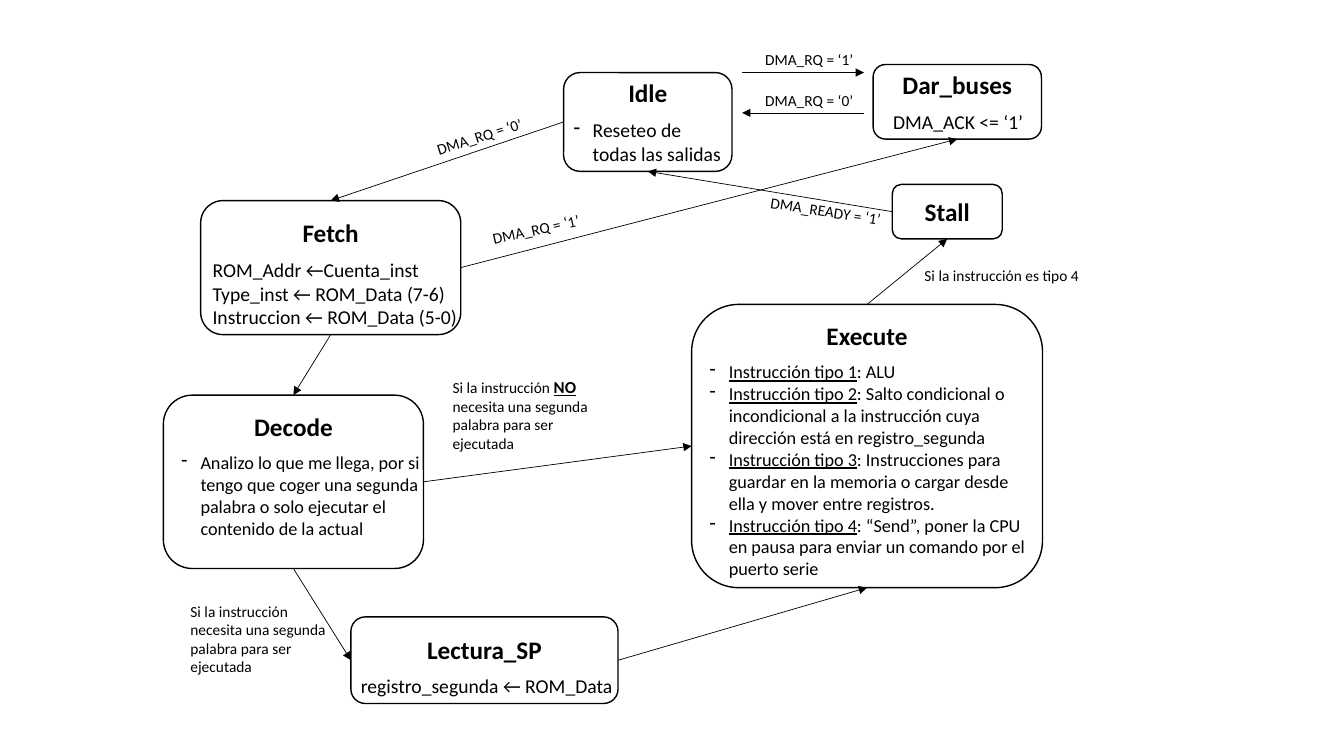
"""State diagram of a small CPU controller."""
from dataclasses import dataclass
from typing import NamedTuple

from lxml import etree
from pptx import Presentation
from pptx.dml.color import RGBColor
from pptx.enum.shapes import MSO_CONNECTOR, MSO_SHAPE
from pptx.enum.text import MSO_AUTO_SIZE, PP_ALIGN
from pptx.oxml.ns import qn
from pptx.util import Inches, Pt

ROUNDED = MSO_SHAPE.ROUNDED_RECTANGLE
STRAIGHT = MSO_CONNECTOR.STRAIGHT
GROW = MSO_AUTO_SIZE.SHAPE_TO_FIT_TEXT
LEFT_ALIGN, CENTER = PP_ALIGN.LEFT, PP_ALIGN.CENTER
TOP, LEFT, BOTTOM, RIGHT = range(4)  # connection sites of a rounded rectangle

SLIDE_W, SLIDE_H = Inches(13.33), Inches(7.5)
COLS, ROWS = 133.3, 75
TITLE_ROWS = 4
LABEL_ROWS = 2.9


@dataclass(frozen=True)
class Theme:
    """Colours, font, type sizes and line widths in points."""
    ink: RGBColor = RGBColor(0, 0, 0)
    font: str = "Calibri"
    title: int = 18
    body: int = 14
    dense: int = 13
    label: int = 11
    strong: int = 12
    frame: float = 1
    arrow: float = 0.5
    hanging: float = 0.19


THEME = Theme()


class Box(NamedTuple):
    """Place and size in grid columns and rows."""
    col: float
    row: float
    cols: float
    rows: float


class Run(NamedTuple):
    """Words with font values that differ from the rest of the box."""
    text: str
    style: dict = {}


class State(NamedTuple):
    """One state: frame, title place and body text."""
    name: str
    box: Box
    title_drop: float
    title_cols: float
    body: list = []
    body_col: float = 0
    body_cols: float = 0
    size: int = THEME.body
    bullet: bool = False


class Transition(NamedTuple):
    """Arrow glued from one state's side to another's."""
    source: str
    source_side: int
    target: str
    target_side: int


class Label(NamedTuple):
    """Condition written beside an arrow."""
    box: Box
    runs: list
    turn: float = 0
    wrap: bool = False


def kind(number: int, text: str) -> list:
    """Runs for one instruction type, its name underlined."""
    return [Run(f"Instrucción tipo {number}", {"underline": True}), Run(f": {text}")]


STATES = [
    State("Idle", Box(55.9, 7.2, 16.7, 9.8), 0, 5.9,
          [[Run("Reseteo de todas las salidas")]], 55.9, 16.7, bullet=True),
    State("Fetch", Box(19.9, 19.9, 25.8, 13.3), 1.2, 7.6,
          [[Run("ROM_Addr ←Cuenta_inst")],
           [Run("Type_inst ← ROM_Data (7-6)")],
           [Run("Instruccion ← ROM_Data (5-0)")]], 20.1, 26.8),
    State("Decode", Box(16.2, 39.2, 25.8, 17.2), 1.1, 9.8,
          [[Run("Analizo lo que me llega, por si tengo que coger una segunda "
                "palabra o solo ejecutar el contenido de la actual")]],
          17, 25.8, THEME.dense, True),
    State("Lectura_SP", Box(34.8, 61.2, 26.5, 8.6), 1.2, 13.5,
          [[Run("registro_segunda ← ROM_Data")]], 34.8, 27.8),
    State("Execute", Box(68.6, 30.2, 34.8, 28.1), 1.1, 10.1,
          [kind(1, "ALU"),
           kind(2, "Salto condicional o incondicional a la instrucción cuya "
                   "dirección está en registro_segunda"),
           kind(3, "Instrucciones para guardar en la memoria o cargar desde "
                   "ella y mover entre registros."),
           kind(4, "“Send”, poner la CPU en pausa para enviar un comando por "
                   "el puerto serie")],
          69.4, 34, THEME.dense, True),
    State("Dar_buses", Box(86.6, 6.4, 16.7, 7.4), 0, 13,
          [[Run("DMA_ACK <= ‘1’")]], 87.6, 15.4),
    State("Stall", Box(88.5, 18.3, 10.9, 5.4), 0.7, 6.5),
]

TRANSITIONS = [
    Transition("Idle", LEFT, "Fetch", TOP),
    Transition("Fetch", RIGHT, "Dar_buses", BOTTOM),
    Transition("Fetch", BOTTOM, "Decode", TOP),
    Transition("Decode", BOTTOM, "Lectura_SP", LEFT),
    Transition("Lectura_SP", RIGHT, "Execute", BOTTOM),
    Transition("Decode", RIGHT, "Execute", LEFT),
    Transition("Execute", TOP, "Stall", BOTTOM),
    Transition("Stall", LEFT, "Idle", BOTTOM),
]

# Bus handshake: start column, end column, row, condition
HANDSHAKE = [(73.6, 85.7, 7.2, "DMA_RQ = ‘1’"), (85.7, 73.6, 11.2, "DMA_RQ = ‘0’")]

SECOND_WORD = "necesita una segunda palabra para ser ejecutada"
LABELS = [
    Label(Box(42.2, 12.1, 10.8, LABEL_ROWS), [Run("DMA_RQ = ‘0’")], -17.5),
    Label(Box(47.8, 21.3, 10.8, LABEL_ROWS), [Run("DMA_RQ = ‘1’")], -12.4),
    Label(Box(75.4, 19.5, 13.1, LABEL_ROWS), [Run("DMA_READY = ‘1’")], 8.8),
    Label(Box(90.7, 25.9, 17.9, LABEL_ROWS), [Run("Si la instrucción es tipo 4")], wrap=True),
    Label(Box(17.9, 59.2, 16.3, 8.4), [Run(f"Si la instrucción {SECOND_WORD}")], wrap=True),
    Label(Box(43.9, 36.9, 16.3, 8.6),
          [Run("Si la instrucción "),
           Run("NO", {"size": Pt(THEME.strong), "bold": True, "underline": True}),
           Run(f" {SECOND_WORD}")], wrap=True),
] + [Label(Box(74.9, row - 2.7, 10.8, LABEL_ROWS), [Run(text)])
     for _, _, row, text in HANDSHAKE]


def x(col: float) -> int:
    """Grid column to slide length."""
    return round(SLIDE_W * col / COLS)


def y(row: float) -> int:
    """Grid row to slide length."""
    return round(SLIDE_H * row / ROWS)


def place(box: Box) -> tuple:
    """Grid box to left, top, width and height."""
    return x(box.col), y(box.row), x(box.cols), y(box.rows)


def add_dash(p) -> None:
    """Give a paragraph a hanging dash."""
    pPr = p._p.get_or_add_pPr()
    pPr.set("marL", str(Inches(THEME.hanging)))
    pPr.set("indent", str(-Inches(THEME.hanging)))
    etree.SubElement(pPr, qn("a:buFontTx"))
    etree.SubElement(pPr, qn("a:buChar")).set("char", "-")


def add_text(s, box: Box, paragraphs: list, size: int, wrap: bool = True,
             bold: bool = False, align=LEFT_ALIGN, bullet: bool = False):
    """Write paragraphs of runs in a text box."""
    sp = s.shapes.add_textbox(*place(box))
    tf = sp.text_frame
    tf.word_wrap, tf.auto_size = wrap, GROW
    for i, runs in enumerate(paragraphs):
        p = tf.add_paragraph() if i else tf.paragraphs[0]
        p.alignment = align
        if bullet:
            add_dash(p)
        for run in runs:
            r = p.add_run()
            r.text = run.text
            r.font.color.rgb = THEME.ink
            values = {"name": THEME.font, "size": Pt(size), "bold": bold, **run.style}
            for key, value in values.items():
                setattr(r.font, key, value)
    return sp


def add_state(s, state: State):
    """Draw a state's title, body and frame; return the frame."""
    box = state.box
    top = box.row + state.title_drop
    title = Box(box.col + (box.cols - state.title_cols) / 2, top, state.title_cols, TITLE_ROWS)
    add_text(s, title, [[Run(state.name)]], THEME.title, wrap=False, bold=True, align=CENTER)
    if state.body:
        body_top = top + TITLE_ROWS
        body = Box(state.body_col, body_top, state.body_cols, box.row + box.rows - body_top)
        add_text(s, body, state.body, state.size, bullet=state.bullet)
    sp = s.shapes.add_shape(ROUNDED, *place(box))
    sp.shadow.inherit = False
    sp.fill.background()
    sp.line.color.rgb, sp.line.width = THEME.ink, Pt(THEME.frame)
    return sp


def add_arrow(s, start: tuple = (0, 0), end: tuple = (0, 0)):
    """Draw a thin arrow between two grid points."""
    cxn = s.shapes.add_connector(STRAIGHT, x(start[0]), y(start[1]), x(end[0]), y(end[1]))
    cxn.line.color.rgb, cxn.line.width = THEME.ink, Pt(THEME.arrow)
    etree.SubElement(cxn.line._get_or_add_ln(), qn("a:tailEnd")).set("type", "triangle")
    etree.SubElement(cxn._element.spPr, qn("a:effectLst"))
    return cxn


def main() -> None:
    """Build the slide and save it."""
    prs = Presentation()
    prs.slide_width, prs.slide_height = SLIDE_W, SLIDE_H
    s = prs.slides.add_slide(prs.slide_layouts[6])
    frames = {state.name: add_state(s, state) for state in STATES}
    for t in TRANSITIONS:
        cxn = add_arrow(s)
        cxn.begin_connect(frames[t.source], t.source_side)
        cxn.end_connect(frames[t.target], t.target_side)
    for start, end, row, _ in HANDSHAKE:
        add_arrow(s, (start, row), (end, row))
    for label in LABELS:
        sp = add_text(s, label.box, [label.runs], THEME.label, label.wrap)
        sp.rotation = label.turn
    prs.save("out.pptx")


main()
